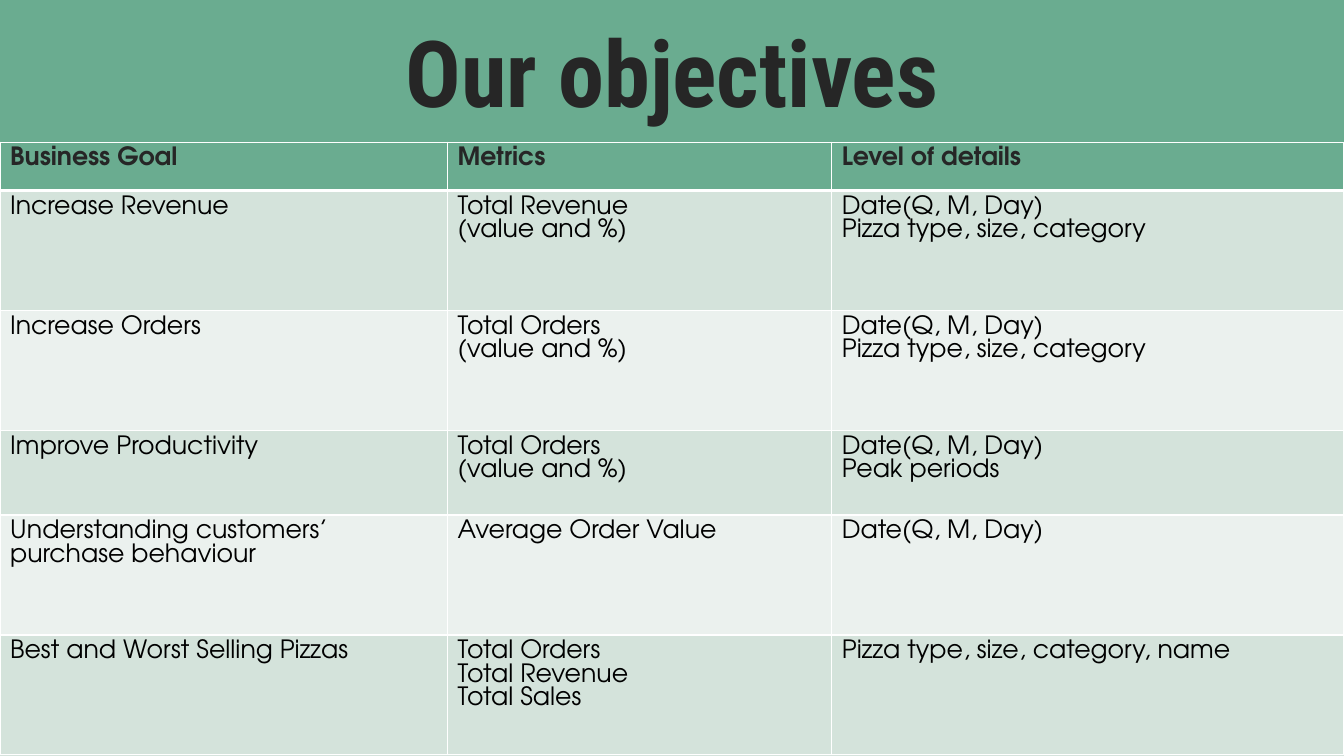
"""Build the objectives slide: a title band above a table of business goals."""
from dataclasses import dataclass

from lxml import etree
from pptx import Presentation
from pptx import util as u
from pptx.dml.color import RGBColor
from pptx.enum import text
from pptx.oxml import ns


@dataclass(frozen=True)
class Theme:
    """Colours, fonts and type sizes of the slide."""
    background: str = "D5E3DC"
    band: str = "6AAC90"
    stripes: tuple[str, str] = ("D4E3DB", "EBF1EE")
    rule: str = "FFFFFF"
    heading: str = "262626"
    body: str = "000000"
    title_font: str = "Roboto Condensed"
    table_font: str = "TeX Gyre Adventor"
    title_size: int = 66
    table_size: int = 18


@dataclass(frozen=True)
class Goal:
    """One table row with its height in inches."""
    name: str
    metrics: str
    details: str
    height: float = 1.19


THEME = Theme()
SLIDE_WIDTH, SLIDE_HEIGHT, BAND_HEIGHT = 13.33, 7.5, 1.41
COLUMN_WIDTHS = (4.44, 3.81, 5.08)
HEADINGS = Goal("Business Goal", "Metrics", "Level of details", 0.48)
PIZZA_DETAILS = "Date(Q, M, Day)\nPizza type, size, category"
GOALS = (
    Goal("Increase Revenue", "Total Revenue\n(value and %)", PIZZA_DETAILS),
    Goal("Increase Orders", "Total Orders\n(value and %)", PIZZA_DETAILS),
    Goal("Improve Productivity", "Total Orders\n(value and %)",
         "Date(Q, M, Day)\nPeak periods", 0.84),
    Goal("Understanding customers’ purchase behaviour", "Average Order Value",
         "Date(Q, M, Day)"),
    Goal("Best and Worst Selling Pizzas",
         "Total Orders\nTotal Revenue\nTotal Sales",
         "Pizza type, size, category, name"),
)


def paint(fill, colour: str) -> None:
    """Give a fill one solid colour."""
    fill.solid()
    fill.fore_color.rgb = RGBColor.from_string(colour)


def style_text(frame, font: str, size: int, colour: str, bold: bool) -> None:
    """Format every run of a text frame."""
    for paragraph in frame.paragraphs:
        for run in paragraph.runs:
            run.font.name = font
            run.font.size = u.Pt(size)
            run.font.bold = bold
            run.font.color.rgb = RGBColor.from_string(colour)


def rule_cell(cell, top: float, bottom: float) -> None:
    """Draw the four borders of a cell, with widths in points."""
    properties = cell._tc.get_or_add_tcPr()
    sides = {"lnL": 1, "lnR": 1, "lnT": top, "lnB": bottom}
    for position, (side, width) in enumerate(sides.items()):
        line = etree.Element(ns.qn(f"a:{side}"), w=str(u.Pt(width)))
        solid = etree.SubElement(line, ns.qn("a:solidFill"))
        etree.SubElement(solid, ns.qn("a:srgbClr"), val=THEME.rule)
        properties.insert(position, line)


def add_title(slide) -> None:
    """Place the title as a band across the top."""
    title = slide.shapes.title
    title.left, title.top = u.Inches(0), u.Inches(0)
    title.width, title.height = u.Inches(SLIDE_WIDTH), u.Inches(BAND_HEIGHT)
    paint(title.fill, THEME.band)
    frame = title.text_frame
    frame.text = "Our objectives"
    frame.vertical_anchor = text.MSO_ANCHOR.MIDDLE
    frame.auto_size = text.MSO_AUTO_SIZE.NONE
    frame.paragraphs[0].alignment = text.PP_ALIGN.CENTER
    style_text(frame, THEME.title_font, THEME.title_size, THEME.heading, True)


def add_goals(slide) -> None:
    """Fill the table with the headings and the goals."""
    rows = (HEADINGS, *GOALS)
    table = slide.shapes.add_table(
        len(rows), len(COLUMN_WIDTHS), u.Inches(0), u.Inches(BAND_HEIGHT),
        u.Inches(SLIDE_WIDTH), u.Inches(SLIDE_HEIGHT - BAND_HEIGHT)).table
    for column, width in zip(table.columns, COLUMN_WIDTHS):
        column.width = u.Inches(width)
    for index, goal in enumerate(rows):
        table.rows[index].height = u.Inches(goal.height)
        is_heading = index == 0
        fill = THEME.band if is_heading else THEME.stripes[(index - 1) % 2]
        colour = THEME.heading if is_heading else THEME.body
        for cell, words in zip(table.rows[index].cells,
                               (goal.name, goal.metrics, goal.details)):
            cell.text_frame.text = words
            style_text(cell.text_frame, THEME.table_font, THEME.table_size,
                       colour, is_heading)
            paint(cell.fill, fill)
            rule_cell(cell, 3 if index == 1 else 1, 3 if is_heading else 1)


def main() -> None:
    """Create and save the presentation."""
    deck = Presentation()
    deck.slide_width = u.Inches(SLIDE_WIDTH)
    deck.slide_height = u.Inches(SLIDE_HEIGHT)
    slide = deck.slides.add_slide(deck.slide_layouts.get_by_name("Title Only"))
    paint(slide.background.fill, THEME.background)
    add_title(slide)
    add_goals(slide)
    deck.save("out.pptx")


if __name__ == "__main__":
    main()
